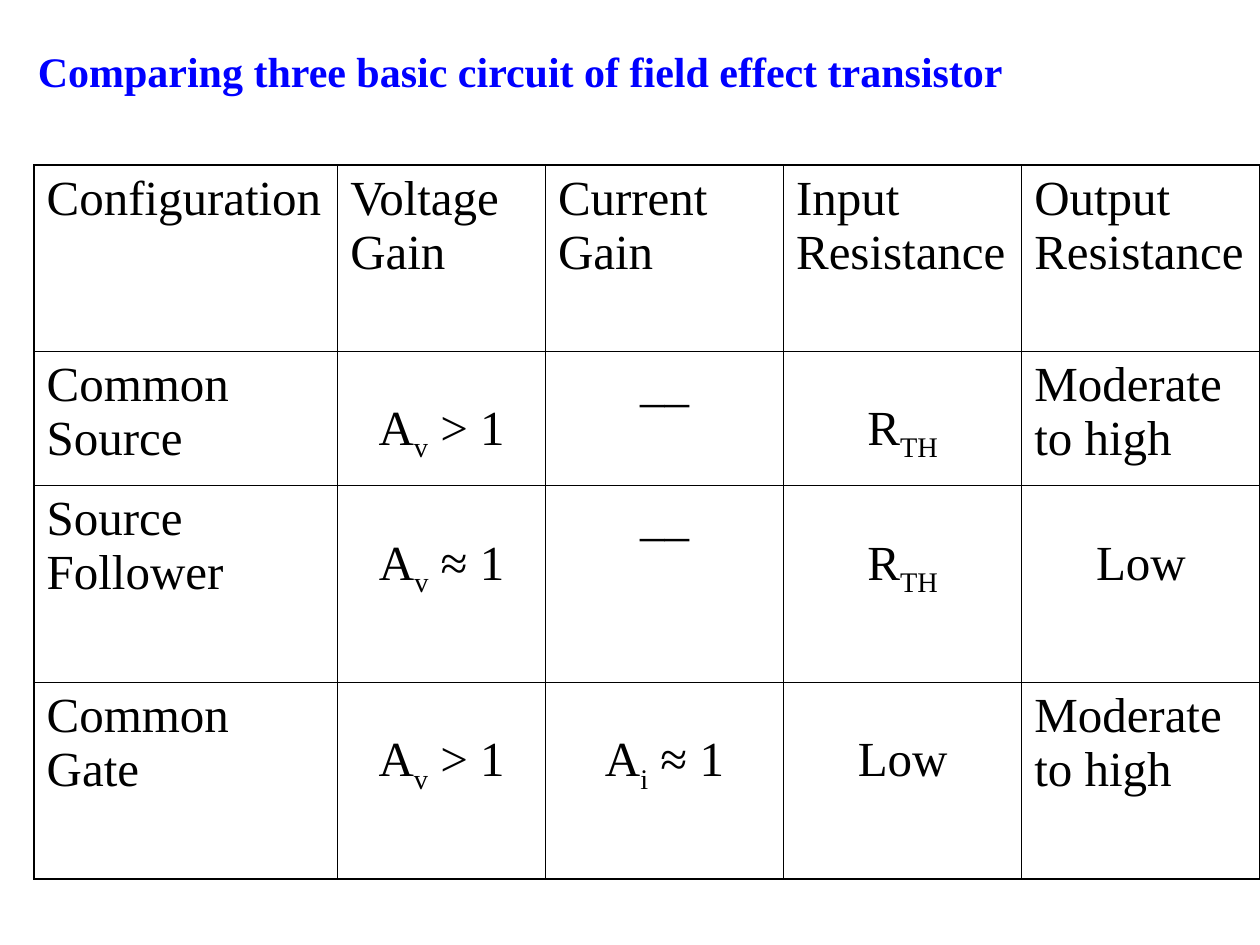
from lxml.etree import SubElement
from pptx import Presentation
from pptx.dml.color import RGBColor
from pptx.enum.text import MSO_ANCHOR, MSO_AUTO_SIZE, PP_ALIGN
from pptx.oxml.ns import qn
from pptx.util import Pt

HUES = {"title": "0000FF", "text": "000000", "line": "000000"}
FACE = "Times New Roman"
COLS = [173.5, 118.7, 136.1, 136.1, 136.1]
ROWS = [106.4, 76.8, 112.5, 112.5]
THICK, THIN = 1.08, 0.45
HIGH, LOW = 3.6, 29

GAIN = ("A", "v", " > 1")
INPUT = ("R", "TH", "")
CELLS = [
    ["Configuration", "Voltage Gain", "Current Gain", "Input Resistance", "Output Resistance"],
    ["Common Source", GAIN, "__", INPUT, "Moderate to high"],
    ["Source Follower", ("A", "v", " ≈ 1"), "__", INPUT, "Low"],
    ["Common Gate", GAIN, ("A", "i", " ≈ 1"), "Low", "Moderate to high"],
]


def style(font, size, hue, bold=False):
    font.name, font.size, font.bold = FACE, Pt(size), bold
    font.color.rgb = RGBColor.from_string(HUES[hue])


def add_title(slide, box, text):
    title = slide.shapes.title
    title.left, title.top, title.width, title.height = map(Pt, box)
    frame = title.text_frame
    frame.text = text
    frame.word_wrap = True
    frame.auto_size = MSO_AUTO_SIZE.NONE
    frame.vertical_anchor = MSO_ANCHOR.MIDDLE
    para = frame.paragraphs[0]
    para.alignment = PP_ALIGN.LEFT
    style(para.font, 24, "title", True)


def add_edge(cell, side, width):
    line = SubElement(cell._tc.get_or_add_tcPr(), qn(f"a:ln{side}"), w=str(Pt(width)))
    fill = SubElement(line, qn("a:solidFill"))
    SubElement(fill, qn("a:srgbClr"), val=HUES["line"])


def fill_cell(cell, value):
    parts = value if isinstance(value, tuple) else (value,)
    para = cell.text_frame.paragraphs[0]
    for index, part in enumerate(parts):
        if part:
            run = para.add_run()
            run.text = part
            if index == 1:
                run.font._element.set("baseline", "-25000")
    style(para.font, 28, "text")
    lowered = len(parts) > 1 or value == "Low"
    para.alignment = PP_ALIGN.CENTER if lowered or value == "__" else PP_ALIGN.LEFT
    cell.margin_left = cell.margin_right = Pt(7.2)
    cell.margin_top = Pt(LOW if lowered else HIGH)
    cell.margin_bottom = Pt(HIGH)


def add_grid(slide, left, top):
    box = map(Pt, (left, top, sum(COLS), sum(ROWS)))
    table = slide.shapes.add_table(len(ROWS), len(COLS), *box).table
    table.first_row = table.horz_banding = False
    for col, width in zip(table.columns, COLS):
        col.width = Pt(width)
    for row, height in zip(table.rows, ROWS):
        row.height = Pt(height)
    for i, values in enumerate(CELLS):
        for j, value in enumerate(values):
            cell = table.cell(i, j)
            fill_cell(cell, value)
            outer = {"L": j == 0, "R": j == len(COLS) - 1,
                     "T": i == 0, "B": i == len(ROWS) - 1}
            for side, thick in outer.items():
                add_edge(cell, side, THICK if thick else THIN)
            cell.fill.background()


def main():
    deck = Presentation()
    deck.slide_width, deck.slide_height = Pt(720), Pt(540)
    slide = deck.slides.add_slide(deck.slide_layouts[5])
    add_grid(slide, 19.5, 94.3)
    add_title(slide, (14.4, 15.1, 692, 51),
              "Comparing three basic circuit of field effect transistor")
    deck.save("out.pptx")


if __name__ == "__main__":
    main()
